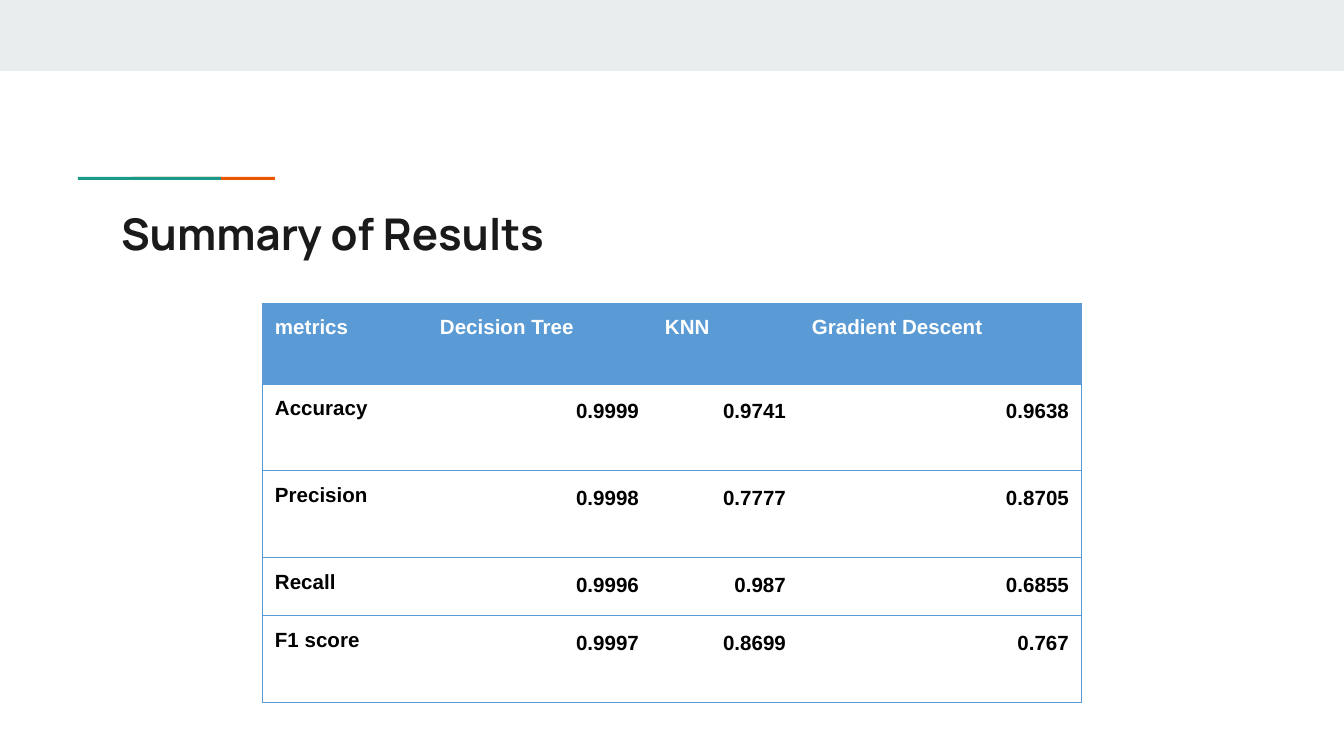
import pptx
import pptx.util
import pptx.dml.color
import pptx.enum.shapes
import pptx.enum.text
import pptx.oxml.ns
import lxml.etree
from dataclasses import dataclass

TITLE = "Summary of Results"
ROWS = [
    ("metrics", "Decision Tree", "KNN", "Gradient Descent"),
    ("Accuracy", "0.9999", "0.9741", "0.9638"),
    ("Precision", "0.9998", "0.7777", "0.8705"),
    ("Recall", "0.9996", "0.987", "0.6855"),
    ("F1 score", "0.9997", "0.8699", "0.767"),
]
COL_WIDTHS = [165, 225, 147, 283]
ROW_HEIGHTS = [81, 87, 87, 58, 87]
TABLE_LEFT, TABLE_TOP = 262, 303
INSET = 13
NO_STYLE = "{2D5ABB26-0587-4C30-8999-92F81FD0307C}"


@dataclass(frozen=True)
class Theme:
    band: str = "E9EDEE"
    orange: str = "EB5600"
    green: str = "1A9988"
    title: str = "1A1A1A"
    blue: str = "5B9BD5"
    header: str = "FFFFFF"
    body: str = "000000"
    title_font: str = "Manrope"
    table_font: str = "Arial"
    title_size: float = 23.4
    table_size: float = 11
    border: float = 0.5


THEME = Theme()
BARS = [
    (0, 0, 1344, 71, THEME.band),
    (133, 177, 142, 3, THEME.orange),
    (78, 177, 143, 3, THEME.green),
]


def px(n):
    return pptx.util.Emu(round(n * 914400 / 134.4))


def rgb(color):
    return pptx.dml.color.RGBColor.from_string(color)


def style_font(p, name, size, color):
    for r in p.runs:
        r.font.name, r.font.size, r.font.bold = name, pptx.util.Pt(size), True
        r.font.color.rgb = rgb(color)


def add_bar(s, x, y, w, h, color):
    sp = s.shapes.add_shape(pptx.enum.shapes.MSO_SHAPE.RECTANGLE, px(x), px(y), px(w), px(h))
    sp.shadow.inherit = False
    sp.fill.solid()
    sp.fill.fore_color.rgb = rgb(color)
    sp.line.fill.background()


def add_title(s):
    sp = s.shapes.title
    sp.left, sp.top, sp.width, sp.height = px(108), px(194), px(1130), px(79)
    tf = sp.text_frame
    tf.text = TITLE
    tf.margin_left = tf.margin_right = tf.margin_top = tf.margin_bottom = px(INSET)
    tf.vertical_anchor = pptx.enum.text.MSO_ANCHOR.MIDDLE
    p = tf.paragraphs[0]
    p.alignment = pptx.enum.text.PP_ALIGN.LEFT
    style_font(p, THEME.title_font, THEME.title_size, THEME.title)


def set_borders(cell, sides):
    qn = pptx.oxml.ns.qn
    props = cell._tc.get_or_add_tcPr()
    for side in sides:
        ln = lxml.etree.SubElement(props, qn("a:ln" + side), w=str(pptx.util.Pt(THEME.border)))
        fill = lxml.etree.SubElement(ln, qn("a:solidFill"))
        lxml.etree.SubElement(fill, qn("a:srgbClr"), val=THEME.blue)


def fill_cell(cell, text, row, col):
    header = row == 0
    outer = {0: "L", len(COL_WIDTHS) - 1: "R"}.get(col, "")
    set_borders(cell, outer + "TB")
    if header:
        cell.fill.solid()
        cell.fill.fore_color.rgb = rgb(THEME.blue)
    else:
        cell.fill.background()
    cell.margin_left = cell.margin_right = cell.margin_top = cell.margin_bottom = px(INSET)
    cell.text_frame.text = text
    p = cell.text_frame.paragraphs[0]
    if not header and col > 0:
        p.alignment = pptx.enum.text.PP_ALIGN.RIGHT
        p.line_spacing = 1.15
    style_font(p, THEME.table_font, THEME.table_size, THEME.header if header else THEME.body)


def add_results(s):
    frame = s.shapes.add_table(len(ROWS), len(COL_WIDTHS), px(TABLE_LEFT), px(TABLE_TOP),
                               px(sum(COL_WIDTHS)), px(sum(ROW_HEIGHTS)))
    table = frame.table
    table.first_row = table.horz_banding = False
    table._tbl.tblPr.find(pptx.oxml.ns.qn("a:tableStyleId")).text = NO_STYLE
    for column, w in zip(table.columns, COL_WIDTHS):
        column.width = px(w)
    for line, h in zip(table.rows, ROW_HEIGHTS):
        line.height = px(h)
    for row, values in enumerate(ROWS):
        for col, text in enumerate(values):
            fill_cell(table.cell(row, col), text, row, col)


def main():
    prs = pptx.Presentation()
    prs.slide_width, prs.slide_height = px(1344), px(756)
    s = prs.slides.add_slide(prs.slide_layouts[5])
    for bar in BARS:
        add_bar(s, *bar)
    add_title(s)
    add_results(s)
    prs.save("out.pptx")


if __name__ == "__main__":
    main()
